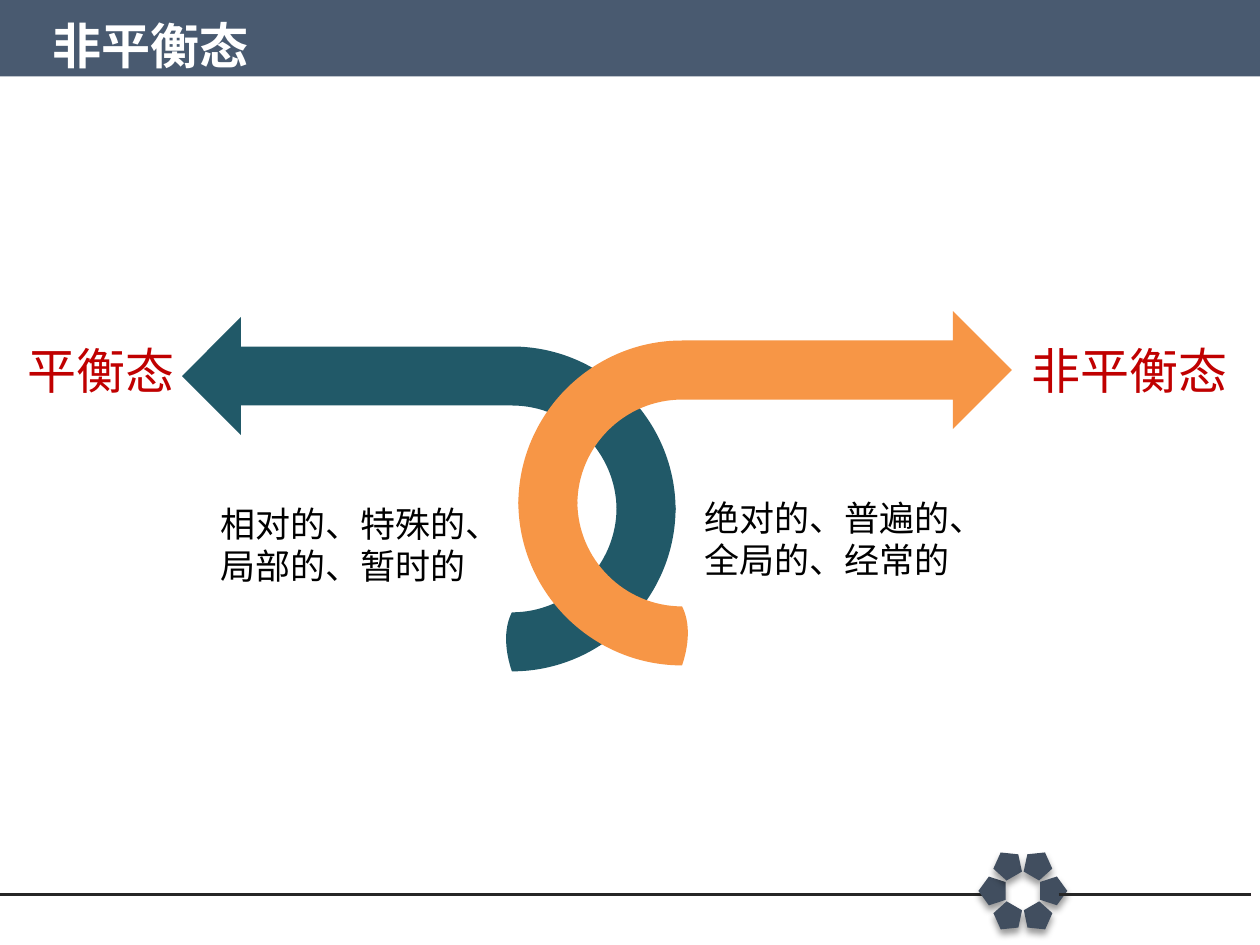
import math

from lxml import etree
from pptx import Presentation
from pptx import util as u
from pptx.dml.color import RGBColor
from pptx.enum import lang, shapes, text
from pptx.oxml import ns, parse_xml

COLORS = {
    "banner": "495A70", "rule": "262626", "petal": "414E5F",
    "teal": "215968", "orange": "F79646",
    "red": "C00000", "black": "000000", "white": "FFFFFF",
}
CJK_FONT = "Noto Sans CJK SC"
PETAL_SHADOW = (
    f'<a:effectLst {ns.nsdecls("a")}>'
    '<a:outerShdw blurRad="50800" dist="38100" dir="5400000" rotWithShape="0">'
    '<a:srgbClr val="000000"><a:alpha val="40000"/></a:srgbClr>'
    '</a:outerShdw></a:effectLst>'
)


def color(name):
    """Return the named colour."""
    return RGBColor.from_string(COLORS[name])


def paint(shape, name):
    """Give a shape a flat fill without line or shadow."""
    shape.shadow.inherit = False
    shape.fill.solid()
    shape.fill.fore_color.rgb = color(name)
    shape.line.fill.background()


def write(box, words, size, name, font):
    """Fill a box with one left-aligned paragraph."""
    frame = box.text_frame
    frame.text = words
    frame.word_wrap = True
    frame.vertical_anchor = text.MSO_ANCHOR.TOP
    para = frame.paragraphs[0]
    para.alignment = text.PP_ALIGN.LEFT
    para.font.size = u.Pt(size)
    para.font.name = font
    para.font.color.rgb = color(name)
    para.font.language_id = lang.MSO_LANGUAGE_ID.SIMPLIFIED_CHINESE
    return para


def add_banner(page, left, top, width, height):
    """Draw the title band and set the title on it."""
    band = page.shapes.add_shape(
        shapes.MSO_SHAPE.RECTANGLE, u.Cm(left), u.Cm(top), u.Cm(width), u.Cm(height))
    paint(band, "banner")
    title = page.shapes.title
    page.shapes.element.append(title.element)
    title.left, title.top = u.Cm(left + 0.81), u.Cm(top + 0.18)
    title.width, title.height = u.Cm(4.9), u.Cm(1.45)
    para = write(title, "非平衡态", 28, "white", "Calibri")
    para.font.bold = True
    title.text_frame.auto_size = text.MSO_AUTO_SIZE.NONE


def add_rule(page, start, end, y):
    """Draw one horizontal footer line."""
    rule = page.shapes.add_connector(
        shapes.MSO_CONNECTOR.STRAIGHT, u.Cm(start), u.Cm(y), u.Cm(end), u.Cm(y))
    rule.line.color.rgb = color("rule")
    rule.line.width = u.Pt(1.75)
    properties = rule.element.find(ns.qn("p:spPr"))
    etree.SubElement(properties, ns.qn("a:effectLst"))


def add_flower(page, center_x, center_y, radius):
    """Arrange six pentagons in a ring."""
    group = page.shapes.add_group_shape()
    width, height = 0.58, 0.55
    for turn in range(270, 630, 60):
        angle = math.radians(turn)
        x = center_x + radius * math.sin(angle)
        y = center_y - radius * math.cos(angle)
        petal = group.shapes.add_shape(
            shapes.MSO_SHAPE.REGULAR_PENTAGON,
            u.Cm(x - width / 2), u.Cm(y - height / 2), u.Cm(width), u.Cm(height))
        petal.rotation = turn % 360
        paint(petal, "petal")
        properties = petal.element.find(ns.qn("p:spPr"))
        properties.remove(properties.find(ns.qn("a:effectLst")))
        properties.append(parse_xml(PETAL_SHADOW))


def add_footer(page, left, y, width):
    """Draw the footer lines with the flower between them."""
    add_rule(page, left, left + 19.84, y)
    add_flower(page, left + 20.62, y - 0.07, 0.62)
    add_rule(page, left + 21.34, left + width, y)


def quarter(center, start, end):
    """Return the curve of a quarter circle between two offsets from its center."""
    x, y = center
    (sx, sy), (ex, ey) = start, end
    bend = 0.55
    return [(x + sx + bend * ex, y + sy + bend * ey),
            (x + ex + bend * sx, y + ey + bend * sy),
            (x + ex, y + ey)]


def add_outline(group, start, segments, name):
    """Draw a closed shape from one-point lines and three-point curves."""
    points = [point for segment in segments for point in segment]
    builder = group.shapes.build_freeform(*start)
    builder.add_line_segments(points, close=True)
    shape = builder.convert_to_shape()
    lines = iter(list(shape.element.iter(ns.qn("a:lnTo"))))
    for segment in segments:
        steps = [next(lines) for _ in segment]
        if len(steps) == 3:
            curve = etree.Element(ns.qn("a:cubicBezTo"))
            steps[0].addprevious(curve)
            for step in steps:
                curve.append(step[0])
                step.getparent().remove(step)
    paint(shape, name)


def add_hook(page, left, top, width, name, mirrored=False):
    """Draw a ribbon that curls up from its tail into a side arrow."""
    band, outer, head = 1.19, 3.3, 1.19
    inner = outer - band
    shaft_top = band / 2
    x, y = center = (width - outer, shaft_top + outer)
    arrow = [
        [(0, head)], [(head, 2 * head)], [(head, shaft_top + band)],
        [(x, shaft_top + band)], quarter(center, (0, -inner), (inner, 0)),
        [(width, y)], quarter(center, (outer, 0), (0, -outer)), [(head, shaft_top)],
    ]
    tail_x, tail_y = tail_center = (x, y - 0.05)
    low = tail_y + outer
    end = [(x - 0.13, low - 0.38), (x - 0.18, low - 0.84), (x, low - band)]
    tail = [
        quarter(tail_center, (outer, 0), (0, outer)), end,
        quarter(tail_center, (0, inner), (inner, 0)),
    ]

    def place(point):
        """Convert a point of the ribbon to a position on the page."""
        px, py = point
        return u.Cm(left + (width - px if mirrored else px)), u.Cm(top + py)

    group = page.shapes.add_group_shape()
    for start, segments in (((head, 0), arrow), ((width, tail_y), tail)):
        placed = [[place(point) for point in segment] for segment in segments]
        add_outline(group, place(start), placed, name)


def add_label(page, left, top, width, height, words, size, name):
    """Place a wrapped text label."""
    box = page.shapes.add_textbox(u.Cm(left), u.Cm(top), u.Cm(width), u.Cm(height))
    write(box, words, size, name, CJK_FONT)
    for properties in box.element.iter(ns.qn("a:defRPr")):
        etree.SubElement(properties, ns.qn("a:ea")).set("typeface", CJK_FONT)


def add_comparison(page, left, top):
    """Draw the two interlocked arrows with their labels."""
    add_hook(page, left + 3.37, top + 0.12, 9.95, "teal")
    add_hook(page, left + 10.15, top, 9.95, "orange", mirrored=True)
    add_label(page, left, top + 0.46, 3.99, 1.45, "平衡态", 28, "red")
    add_label(page, left + 20.25, top + 0.46, 4.67, 1.45, "非平衡态", 28, "red")
    add_label(page, left + 3.89, top + 3.73, 5.74, 1.96,
              "相对的、特殊的、局部的、暂时的", 20, "black")
    add_label(page, left + 13.65, top + 3.61, 6.1, 1.96,
              "绝对的、普遍的、全局的、经常的", 20, "black")


def main():
    """Build and save the deck."""
    deck = Presentation()
    deck.slide_width, deck.slide_height = u.Cm(25.4), u.Cm(19.05)
    page = deck.slides.add_slide(deck.slide_layouts[5])
    add_banner(page, 0, 0, 25.4, 1.54)
    add_footer(page, 0, 18.03, 25.22)
    add_comparison(page, 0.3, 6.27)
    deck.save("out.pptx")


if __name__ == "__main__":
    main()
